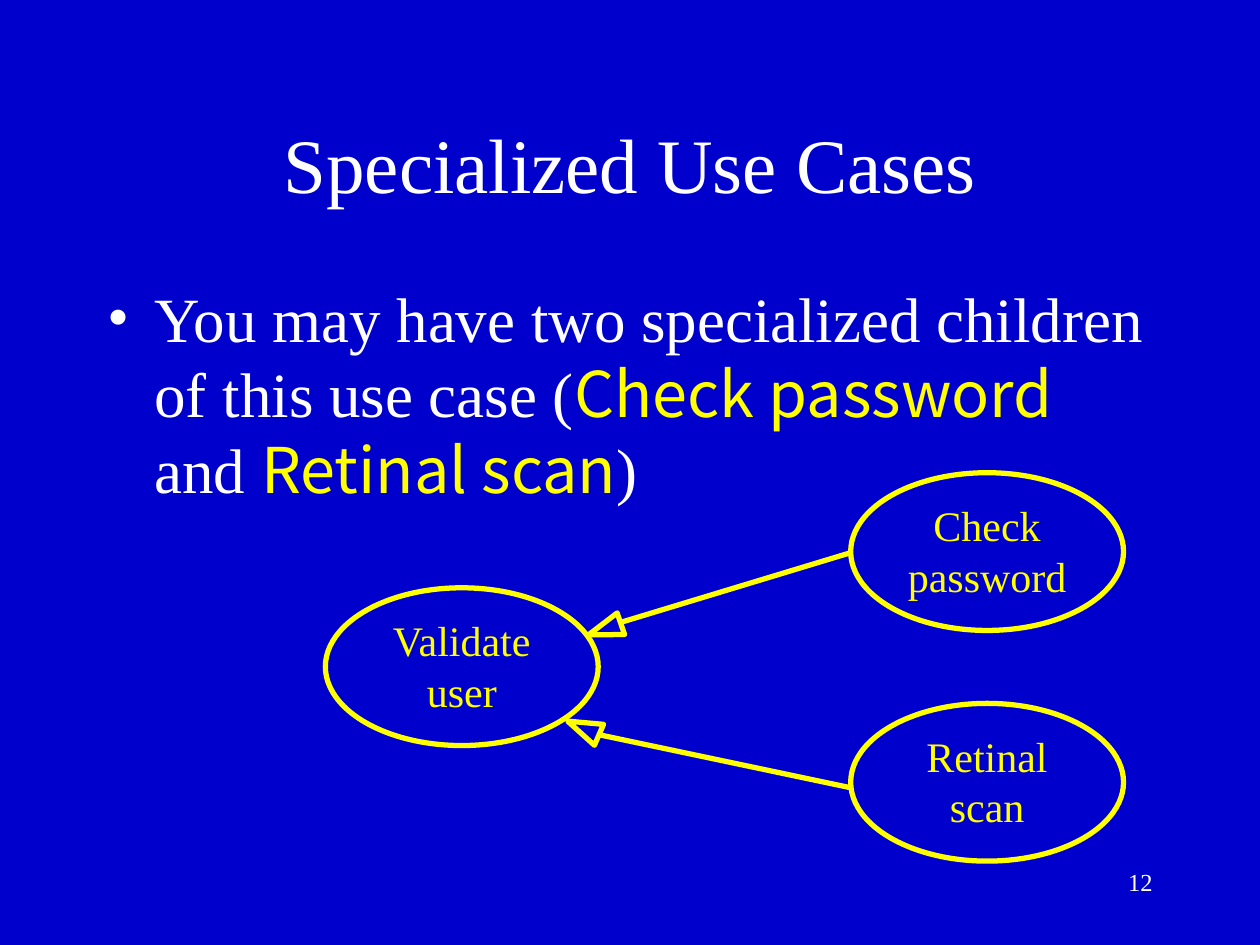
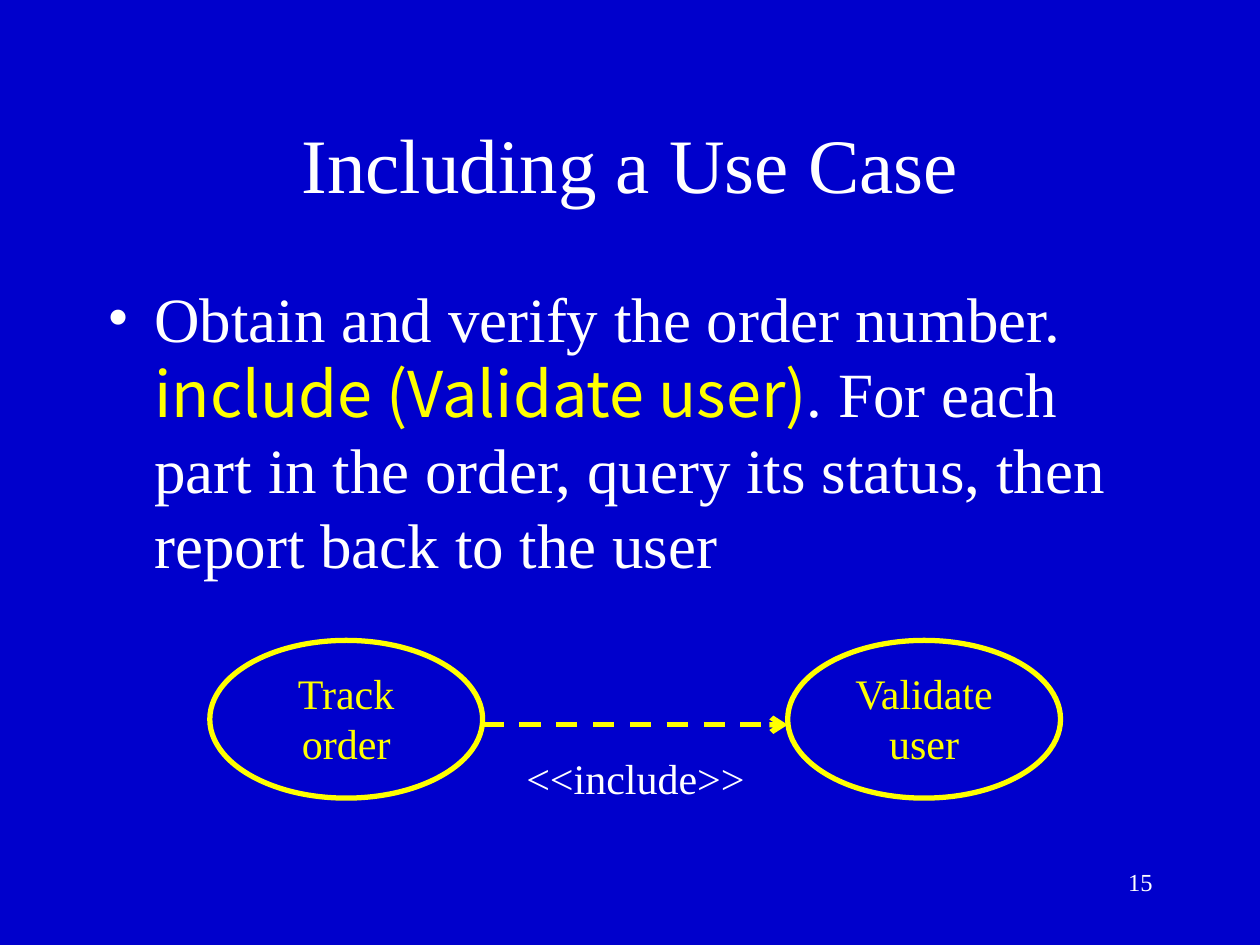
"""Build two slides on specialized and included use cases."""
import lxml.etree
import pptx
import pptx.dml.color
import pptx.enum.dml
import pptx.enum.shapes
import pptx.enum.text
import pptx.oxml.ns
import pptx.util

Cm, Pt = pptx.util.Cm, pptx.util.Pt
RGBColor = pptx.dml.color.RGBColor
PP_ALIGN = pptx.enum.text.PP_ALIGN
MSO_AUTO_SIZE = pptx.enum.text.MSO_AUTO_SIZE
MSO_SHAPE = pptx.enum.shapes.MSO_SHAPE
qn = pptx.oxml.ns.qn

BLUE = RGBColor(0x00, 0x00, 0xCC)
WHITE = RGBColor(0xFF, 0xFF, 0xFF)
YELLOW = RGBColor(0xFF, 0xFF, 0x00)
SERIF = "Times New Roman"
SANS = "Noto Sans CJK KR"
LEFT, WIDTH = 1.91, 21.59
OVAL_W, OVAL_H = 5.5, 3.18
LABEL_H, LABEL_DROP = 2.29, 0.42


def write(p, runs, size, align):
    """Fill a paragraph with (text, font, colour) runs."""
    p.alignment = align
    p.line_spacing = Pt(size * 1.2)
    p.space_before = Pt(0)
    for text, font, color in runs:
        r = p.add_run()
        r.text = text
        r.font.name = font
        r.font.size = Pt(size)
        r.font.color.rgb = color


def add_label(s, box, lines, size, align, color, wrap=False):
    """Add a text box with one paragraph for each line."""
    tf = s.shapes.add_textbox(*map(Cm, box)).text_frame
    tf.word_wrap = wrap
    tf.auto_size = MSO_AUTO_SIZE.NONE if wrap else MSO_AUTO_SIZE.SHAPE_TO_FIT_TEXT
    for i, line in enumerate(lines):
        p = tf.add_paragraph() if i else tf.paragraphs[0]
        write(p, [(line, SERIF, color)], size, align)


SLIDES = [
    {
        "title": "Specialized Use Cases",
        "body": [
            ("You may have two specialized children of this use case (", SERIF, WHITE),
            ("Check password", SANS, YELLOW),
            (" and ", SERIF, WHITE),
            ("Retinal scan", SANS, YELLOW),
            (")", SERIF, WHITE),
        ],
        "body_height": 5.08,
        "ovals": [
            (17.15, 9.53, 3.71, ["Check", "password"]),
            (6.56, 11.85, 3.38, ["Validate", "user"]),
            (17.15, 14.18, 2.95, ["Retinal", "scan"]),
        ],
        "triangles": [(11.53, 14.33, 293.6), (11.96, 12.34, 251)],
        "lines": [(12.5, 12.55, 17.12, 11.15), (17.15, 15.88, 12.07, 14.81)],
        "include": False,
        "number": "12",
    },
    {
        "title": "Including a Use Case",
        "body": [
            ("Obtain and verify the order number. ", SERIF, WHITE),
            ("include (Validate user)", SANS, YELLOW),
            (". For each part in the order, query its status, "
             "then report back to the user", SERIF, WHITE),
        ],
        "body_height": 6.99,
        "ovals": [
            (4.23, 12.91, 2.46, ["Track", "order"]),
            (15.88, 12.91, 3.38, ["Validate", "user"]),
        ],
        "triangles": [],
        "lines": [(9.73, 14.61, 15.88, 14.61)],
        "include": True,
        "number": "15",
    },
]

prs = pptx.Presentation()
prs.slide_width, prs.slide_height = Cm(25.4), Cm(19.05)
fill = prs.slide_master.background.fill
fill.solid()
fill.fore_color.rgb = BLUE

for data in SLIDES:
    s = prs.slides.add_slide(prs.slide_layouts[1])
    title, body = s.placeholders
    for sp, top, height in ((title, 1.69, 3.18), (body, 5.5, data["body_height"])):
        sp.left, sp.top, sp.width, sp.height = map(Cm, (LEFT, top, WIDTH, height))
        sp.text_frame.auto_size = MSO_AUTO_SIZE.NONE
        sp.text_frame.word_wrap = True
    title.text_frame.vertical_anchor = pptx.enum.text.MSO_ANCHOR.MIDDLE
    write(title.text_frame.paragraphs[0], [(data["title"], SERIF, WHITE)], 44, PP_ALIGN.CENTER)

    p = body.text_frame.paragraphs[0]
    pPr = p._p.get_or_add_pPr()
    pPr.set("marL", str(Cm(0.95)))
    pPr.set("indent", str(-Cm(0.95)))
    bu_color = lxml.etree.SubElement(pPr, qn("a:buClr"))
    lxml.etree.SubElement(bu_color, qn("a:srgbClr"), val=str(WHITE))
    lxml.etree.SubElement(pPr, qn("a:buFont"), typeface=SERIF)
    lxml.etree.SubElement(pPr, qn("a:buChar"), char="•")
    write(p, data["body"], 36, PP_ALIGN.LEFT)

    outlines = [(MSO_SHAPE.OVAL, x, y, OVAL_W, OVAL_H, 0) for x, y, _, _ in data["ovals"]]
    outlines += [(MSO_SHAPE.ISOSCELES_TRIANGLE, x, y, 0.46, 0.69, angle)
                 for x, y, angle in data["triangles"]]
    for kind, x, y, w, h, angle in outlines:
        sp = s.shapes.add_shape(kind, Cm(x), Cm(y), Cm(w), Cm(h))
        sp.rotation = angle
        sp.shadow.inherit = False
        sp.fill.background()
        sp.line.color.rgb = YELLOW
        sp.line.width = Pt(3)

    for ends in data["lines"]:
        line = s.shapes.add_connector(pptx.enum.shapes.MSO_CONNECTOR.STRAIGHT, *map(Cm, ends))
        line.line.color.rgb = YELLOW
        line.line.width = Pt(3)
        if data["include"]:
            line.line.dash_style = pptx.enum.dml.MSO_LINE.DASH
            lxml.etree.SubElement(line.line._get_or_add_ln(), qn("a:tailEnd"), type="arrow")
        lxml.etree.SubElement(line._element.spPr, qn("a:effectLst"))

    for x, y, w, words in data["ovals"]:
        box = (x + (OVAL_W - w) / 2, y + LABEL_DROP, w, LABEL_H)
        add_label(s, box, words, 24, PP_ALIGN.CENTER, YELLOW)
    if data["include"]:
        add_label(s, (10.36, 15.04, 4.95, 1.27), ["<<include>>"], 24, PP_ALIGN.LEFT, WHITE)
    add_label(s, (18.21, 17.35, 5.28, 1.27), [data["number"]], 14, PP_ALIGN.RIGHT, WHITE, True)

prs.save("out.pptx")
